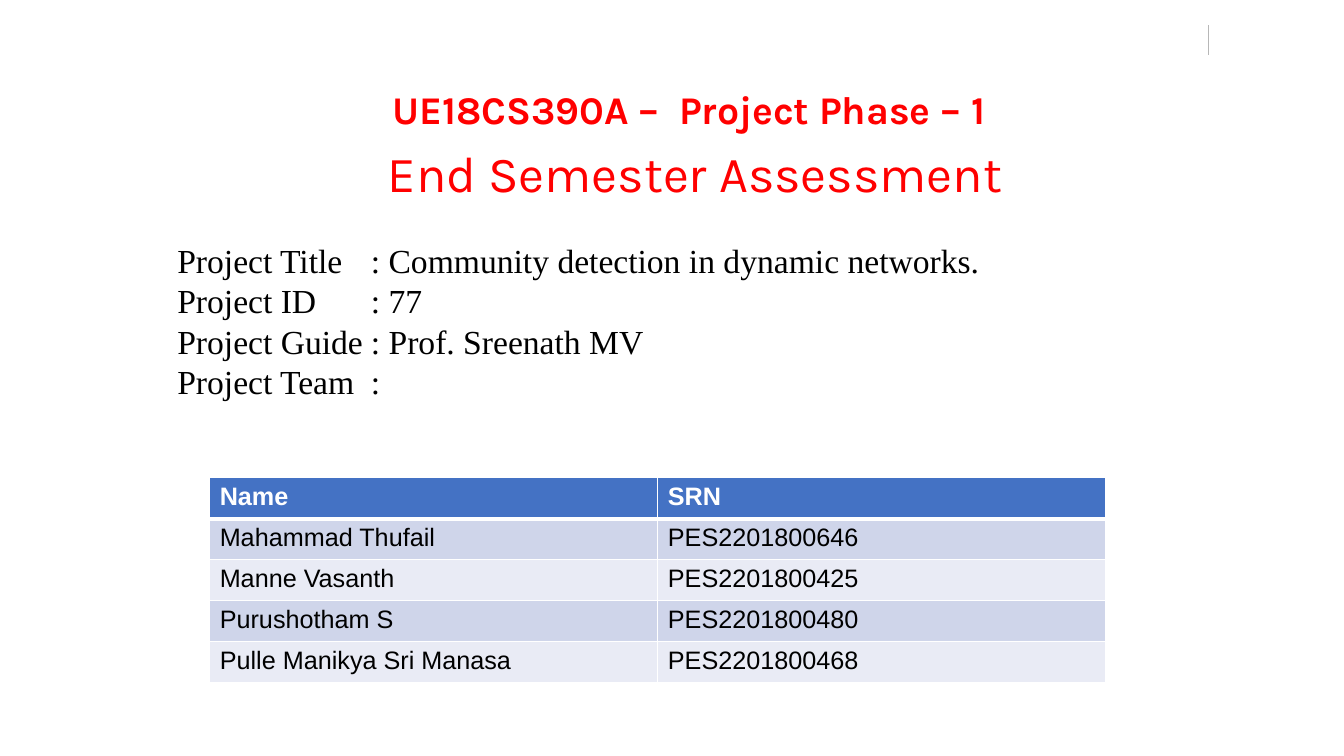
from dataclasses import dataclass

import pptx
import pptx.dml.color
import pptx.enum.shapes
import pptx.enum.text
import pptx.oxml
import pptx.oxml.ns
import pptx.util
from pptx.util import Inches

RED, BLACK, WHITE, GREY = "FF0000", "000000", "FFFFFF", "B7B7B7"
HEADER_BLUE, BANDS = "4472C4", ("CFD5EA", "E9EBF5")


@dataclass
class Style:
    font: str
    size: float
    color: str
    bold: bool = False


@dataclass
class Detail:
    label: str
    value: str


@dataclass
class Member:
    name: str
    srn: str


DETAILS = [
    Detail("Project Title", ": Community detection in dynamic networks."),
    Detail("Project ID", ": 77"),
    Detail("Project Guide", ": Prof. Sreenath MV"),
    Detail("Project Team", ":"),
]
MEMBERS = [
    Member("Mahammad Thufail", "PES2201800646"),
    Member("Manne Vasanth", "PES2201800425"),
    Member("Purushotham S", "PES2201800480"),
    Member("Pulle Manikya Sri Manasa", "PES2201800468"),
]


def rgb(color: str) -> pptx.dml.color.RGBColor:
    return pptx.dml.color.RGBColor.from_string(color)


def add_run(p, text: str, style: Style) -> None:
    r = p.add_run()
    r.text = text
    r.font.name = style.font
    r.font.size = pptx.util.Pt(style.size)
    r.font.bold = style.bold
    r.font.color.rgb = rgb(style.color)


def next_paragraph(tf, index: int):
    return tf.add_paragraph() if index else tf.paragraphs[0]


def add_xml(parent, tag: str, body: str = "", attrs: str = "") -> None:
    ns = pptx.oxml.ns.nsdecls("a")
    parent.append(pptx.oxml.parse_xml(f"<a:{tag} {ns} {attrs}>{body}</a:{tag}>"))


def add_header_rule(s) -> None:
    x = Inches(11.99)
    rule = s.shapes.add_connector(
        pptx.enum.shapes.MSO_CONNECTOR.STRAIGHT, x, Inches(0.25), x, Inches(0.55))
    rule.line.color.rgb = rgb(GREY)
    rule.line.width = pptx.util.Pt(0.75)
    add_xml(rule._element.spPr, "effectLst")


def fill_title(s) -> None:
    sp = s.shapes.title
    sp.left, sp.top = Inches(1.66), Inches(0.76)
    sp.width, sp.height = Inches(10.34), Inches(1.25)
    tf = sp.text_frame
    tf.word_wrap = True
    tf.auto_size = pptx.enum.text.MSO_AUTO_SIZE.NONE
    tf.vertical_anchor = pptx.enum.text.MSO_ANCHOR.TOP
    tf.margin_left = tf.margin_right = tf.margin_bottom = 0
    tf.margin_top = Inches(0.09)
    lines = [
        [("UE18CS390A –  Project Phase – 1", Style("Karla", 28, RED, True))],
        [(" ", Style("Karla", 40, BLACK)),
         ("End Semester Assessment", Style("Karla", 36, RED))],
    ]
    for i, line in enumerate(lines):
        p = next_paragraph(tf, i)
        p.alignment = pptx.enum.text.PP_ALIGN.CENTER
        p.line_spacing = 1.0
        p.space_before = pptx.util.Pt(2.7)
        for text, style in line:
            add_run(p, text, style)


def add_details(s) -> None:
    tf = s.shapes.add_textbox(
        Inches(1.66), Inches(2.33), Inches(11.58), Inches(1.67)).text_frame
    tf.word_wrap = True
    style = Style("Times New Roman", 24, BLACK)
    for i, detail in enumerate(DETAILS):
        p = next_paragraph(tf, i)
        p.line_spacing = pptx.util.Pt(28.8)
        add_xml(p._p.get_or_add_pPr(), "tabLst",
                f'<a:tab pos="{Inches(1.92)}" algn="l"/>')
        add_run(p, f"{detail.label}\t{detail.value}", style)


def set_borders(cell, top: int, bottom: int) -> None:
    tcPr = cell._tc.get_or_add_tcPr()
    for side, points in (("L", 1), ("R", 1), ("T", top), ("B", bottom)):
        add_xml(tcPr, f"ln{side}",
                f'<a:solidFill><a:srgbClr val="{WHITE}"/></a:solidFill>',
                f'w="{pptx.util.Pt(points)}"')


def add_team_table(s) -> None:
    rows = [Member("Name", "SRN")] + MEMBERS
    table = s.shapes.add_table(
        len(rows), 2, Inches(2.08), Inches(4.74), Inches(8.89), Inches(2.03)).table
    for i, member in enumerate(rows):
        header = i == 0
        style = Style("Arial", 18, WHITE if header else BLACK, header)
        for j, text in enumerate((member.name, member.srn)):
            cell = table.cell(i, j)
            set_borders(cell, 3 if i == 1 else 1, 3 if header else 1)
            cell.fill.solid()
            cell.fill.fore_color.rgb = rgb(HEADER_BLUE if header else BANDS[(i - 1) % 2])
            add_run(cell.text_frame.paragraphs[0], text, style)


def main() -> None:
    prs = pptx.Presentation()
    prs.slide_width, prs.slide_height = Inches(13.33), Inches(7.5)
    s = prs.slides.add_slide(prs.slide_layouts.get_by_name("Title Only"))
    add_header_rule(s)
    fill_title(s)
    add_details(s)
    add_team_table(s)
    prs.save("out.pptx")


if __name__ == "__main__":
    main()
